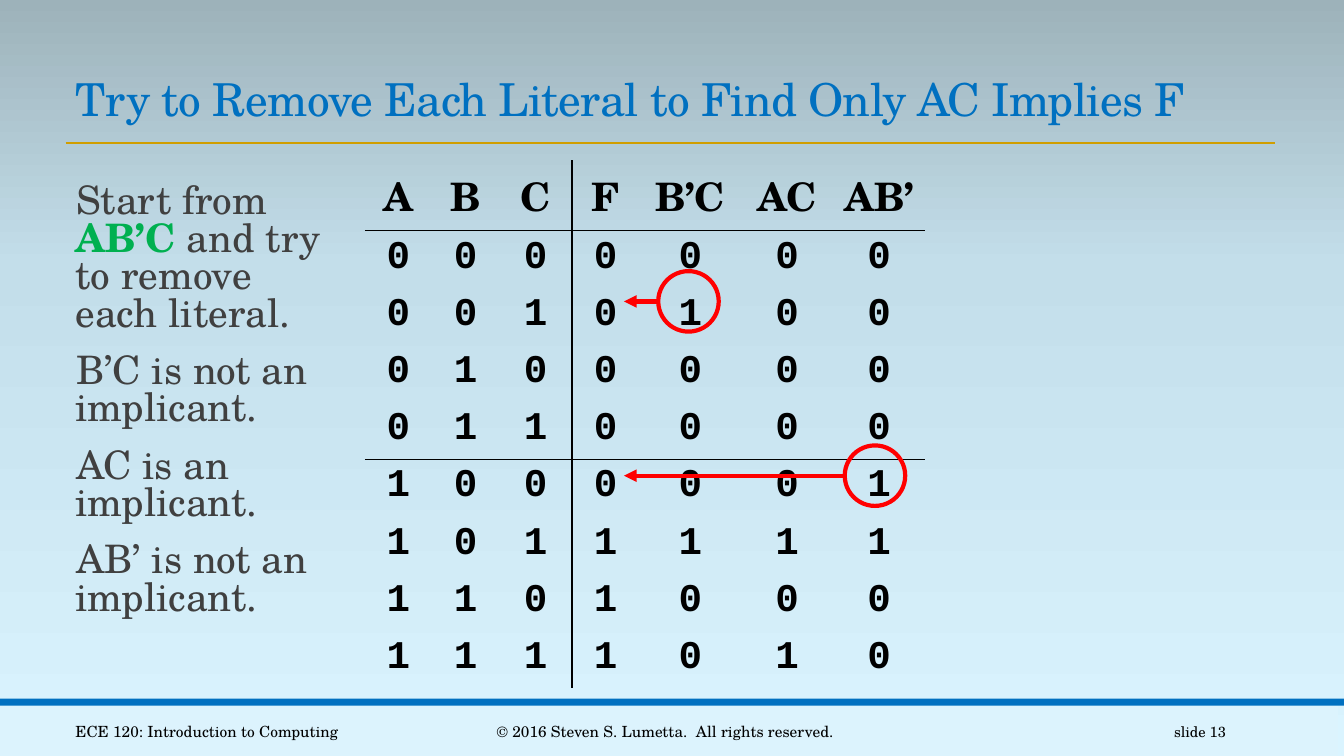
from copy import deepcopy
from dataclasses import dataclass

from lxml import etree
from pptx import Presentation
from pptx.dml.color import RGBColor
from pptx.enum import shapes, text
from pptx.oxml import ns
from pptx.util import Pt


@dataclass(frozen=True)
class Theme:
    serif: str = "TeX Gyre Schola"
    mono: str = "Courier New"
    blue: str = "0070C0"
    gold: str = "D09E00"
    band: str = "DCF3FD"
    grey: str = "404040"
    green: str = "00B050"
    red: str = "FF0000"
    black: str = "000000"
    sky: tuple = ((0, "DAF4FF"), (65, "C3DEEA"), (100, "9DB2BA"))
    title_size: float = 32.4
    body_size: float = 28
    footer_size: float = 11
    number_size: float = 10.5


@dataclass(frozen=True)
class Box:
    left: float
    top: float
    width: float
    height: float

    def place(self) -> tuple:
        return Pt(self.left), Pt(self.top), Pt(self.width), Pt(self.height)


@dataclass(frozen=True)
class Footer:
    words: str
    box: Box
    align: text.PP_ALIGN
    size: float


@dataclass(frozen=True)
class Counterexample:
    left: float
    top: float


THEME = Theme()
LITERAL = "AB’C "
STEPS = (
    "Start from\nAB’C and try\nto remove \neach literal.",
    "B’C is not an\nimplicant.",
    "AC is an\nimplicant.",
    "AB’ is not an\nimplicant.",
)
HEADINGS = ("A", "B", "C", "F", "B’C", "AC", "AB’")
TRUTH_ROWS = ("0000000", "0010100", "0100000", "0110000",
              "1000001", "1011111", "1101000", "1111010")
COLUMN_WIDTHS = (48, 48, 52, 48, 73, 65.5, 66)
HEADER_HEIGHT, ROW_HEIGHT = 50.2, 38.9
RULED_ROWS = (0, 4)       # rows with a line below
LAST_INPUT = 2            # column with a line on its right
CIRCLE_SIZE, ARROW_TIP = 43.2, 445.7
FOOTERS = (
    Footer("ECE 120: Introduction to Computing", Box(46.8, 508.3, 234, 28.8),
           text.PP_ALIGN.LEFT, THEME.footer_size),
    Footer("© 2016 Steven S. Lumetta.  All rights reserved.", Box(290.2, 508.3, 370, 28.8),
           text.PP_ALIGN.CENTER, THEME.footer_size),
    Footer("slide 13", Box(779.8, 508.3, 103, 28.8), text.PP_ALIGN.RIGHT, THEME.number_size),
)
COUNTEREXAMPLES = (Counterexample(470.2, 193.7), Counterexample(603.4, 318.2))


def style(font, size: float, color: str, bold: bool = False, face: str = THEME.serif) -> None:
    font.size, font.bold, font.name = Pt(size), bold, face
    font.color.rgb = RGBColor.from_string(color)


def add_element(parent, tag: str, **attributes: str):
    return etree.SubElement(parent, ns.qn(tag), attributes)


def paint_sky(slide) -> None:
    fill = slide.background.fill
    fill.gradient()
    fill.gradient_angle = 90
    stops = slide.background._cSld.find(".//" + ns.qn("a:gsLst"))
    for stop in list(stops):
        stops.remove(stop)
    for position, color in THEME.sky:
        stop = add_element(stops, "a:gs", pos=str(position * 1000))
        add_element(stop, "a:srgbClr", val=color)


def add_band(slide, box: Box, color: str) -> None:
    band = slide.shapes.add_shape(shapes.MSO_SHAPE.RECTANGLE, *box.place())
    band.shadow.inherit = False
    band.fill.solid()
    band.fill.fore_color.rgb = RGBColor.from_string(color)
    band.line.fill.background()


def add_line(owner, start: tuple, end: tuple, color: str, width: float):
    line = owner.add_connector(shapes.MSO_CONNECTOR.STRAIGHT,
                               *(Pt(length) for length in start + end))
    line.line.color.rgb = RGBColor.from_string(color)
    line.line.width = Pt(width)
    add_element(line._element.spPr, "a:effectLst")
    return line


def add_footer(slide, footer: Footer) -> None:
    frame = slide.shapes.add_textbox(*footer.box.place()).text_frame
    frame.word_wrap = True
    frame.vertical_anchor = text.MSO_ANCHOR.MIDDLE
    frame.text = footer.words
    frame.paragraphs[0].alignment = footer.align
    style(frame.paragraphs[0].runs[0].font, footer.size, THEME.black)


def fill_title(title) -> None:
    title.left, title.top, title.width, title.height = Box(46.8, 42.5, 864.7, 51).place()
    frame = title.text_frame
    frame.text = "Try to Remove Each Literal to Find Only AC Implies F"
    frame.auto_size = text.MSO_AUTO_SIZE.NONE
    frame.vertical_anchor = text.MSO_ANCHOR.BOTTOM
    heading = frame.paragraphs[0]
    heading.alignment, heading.line_spacing = text.PP_ALIGN.LEFT, 0.85
    style(heading.runs[0].font, THEME.title_size, THEME.blue)
    heading.runs[0].font._element.set("spc", "-50")


def fill_steps(body) -> None:
    body.left, body.top, body.width, body.height = Box(46.8, 128.2, 613.4, 334).place()
    frame = body.text_frame
    frame.auto_size = text.MSO_AUTO_SIZE.TEXT_TO_FIT_SHAPE
    frame._txBody.bodyPr.find(ns.qn("a:normAutofit")).set("lnSpcReduction", "20000")
    frame.margin_left = frame.margin_right = 0
    frame.vertical_anchor = text.MSO_ANCHOR.TOP
    for index, words in enumerate(STEPS):
        step = frame.paragraphs[0] if index == 0 else frame.add_paragraph()
        step.text = words
        step.line_spacing, step.space_before, step.space_after = 0.8, Pt(12), Pt(2)
        properties = step._p.get_or_add_pPr()
        properties.set("marL", str(Pt(7.2)))
        properties.set("indent", str(Pt(-7.2)))
        add_element(add_element(properties, "a:buClr"), "a:srgbClr", val=THEME.blue)
        add_element(properties, "a:buChar", char=" ")
        # Split the starting literal from the rest of its line
        for run in step.runs:
            if run.text.startswith(LITERAL):
                run._r.addnext(deepcopy(run._r))
                step.runs[2].text = run.text.removeprefix(LITERAL)
                run.text = LITERAL
        for run in step.runs:
            literal = run.text == LITERAL
            style(run.font, THEME.body_size, THEME.green if literal else THEME.grey, literal)


def rule_cell(cell, row: int, column: int) -> None:
    ruled = {"a:lnL": column == LAST_INPUT + 1, "a:lnR": column == LAST_INPUT,
             "a:lnT": row - 1 in RULED_ROWS, "a:lnB": row in RULED_ROWS}
    properties = cell._tc.get_or_add_tcPr()
    for position, (side, shown) in enumerate(ruled.items()):
        border = add_element(properties, side, w=str(Pt(1)))
        if shown:
            add_element(add_element(border, "a:solidFill"), "a:srgbClr", val=THEME.black)
        else:
            add_element(border, "a:noFill")
        properties.insert(position, border)


def add_truth_table(slide) -> None:
    rows = (HEADINGS, *TRUTH_ROWS)
    box = Box(260.6, 114.5, sum(COLUMN_WIDTHS), HEADER_HEIGHT + ROW_HEIGHT * len(TRUTH_ROWS))
    table = slide.shapes.add_table(len(rows), len(HEADINGS), *box.place()).table
    table.first_row = table.horz_banding = False
    plain_style = "{2D5ABB26-0587-4C30-8999-92F81FD0307C}"
    table._tbl.tblPr.find(ns.qn("a:tableStyleId")).text = plain_style
    for column, width in enumerate(COLUMN_WIDTHS):
        table.columns[column].width = Pt(width)
    for row, values in enumerate(rows):
        table.rows[row].height = Pt(ROW_HEIGHT if row else HEADER_HEIGHT)
        for column, value in enumerate(values):
            cell = table.cell(row, column)
            cell.fill.background()
            rule_cell(cell, row, column)
            cell.text_frame.text = value
            entry = cell.text_frame.paragraphs[0]
            entry.alignment = text.PP_ALIGN.CENTER
            style(entry.runs[0].font, THEME.body_size, THEME.black, True,
                  THEME.mono if row else THEME.serif)


def mark_counterexample(slide, mark: Counterexample) -> None:
    group = slide.shapes.add_group_shape().shapes
    box = Box(mark.left, mark.top, CIRCLE_SIZE, CIRCLE_SIZE)
    circle = group.add_shape(shapes.MSO_SHAPE.OVAL, *box.place())
    circle.shadow.inherit = False
    circle.fill.background()
    circle.line.color.rgb = RGBColor.from_string(THEME.red)
    circle.line.width = Pt(3)
    middle = mark.top + CIRCLE_SIZE / 2
    arrow = add_line(group, (mark.left, middle), (ARROW_TIP, middle), THEME.red, 3)
    add_element(arrow.line._get_or_add_ln(), "a:tailEnd", type="triangle")


def main() -> None:
    deck = Presentation()
    deck.slide_width, deck.slide_height = Pt(960), Pt(540)
    slide = deck.slides.add_slide(deck.slide_layouts[1])

    # Background, footer bands and title rule
    paint_sky(slide)
    add_band(slide, Box(-4.3, 504, 960, 36), THEME.band)
    add_band(slide, Box(0, 499, 960, 5), THEME.blue)
    add_line(slide.shapes, (46.8, 102.2), (910.8, 102.2), THEME.gold, 2)
    for footer in FOOTERS:
        add_footer(slide, footer)

    # Title, reasoning steps and truth table
    fill_title(slide.shapes.title)
    fill_steps(slide.placeholders[1])
    add_truth_table(slide)

    # Rows where a candidate is 1 but F is 0
    for mark in COUNTEREXAMPLES:
        mark_counterexample(slide, mark)
    deck.save("out.pptx")


if __name__ == "__main__":
    main()
